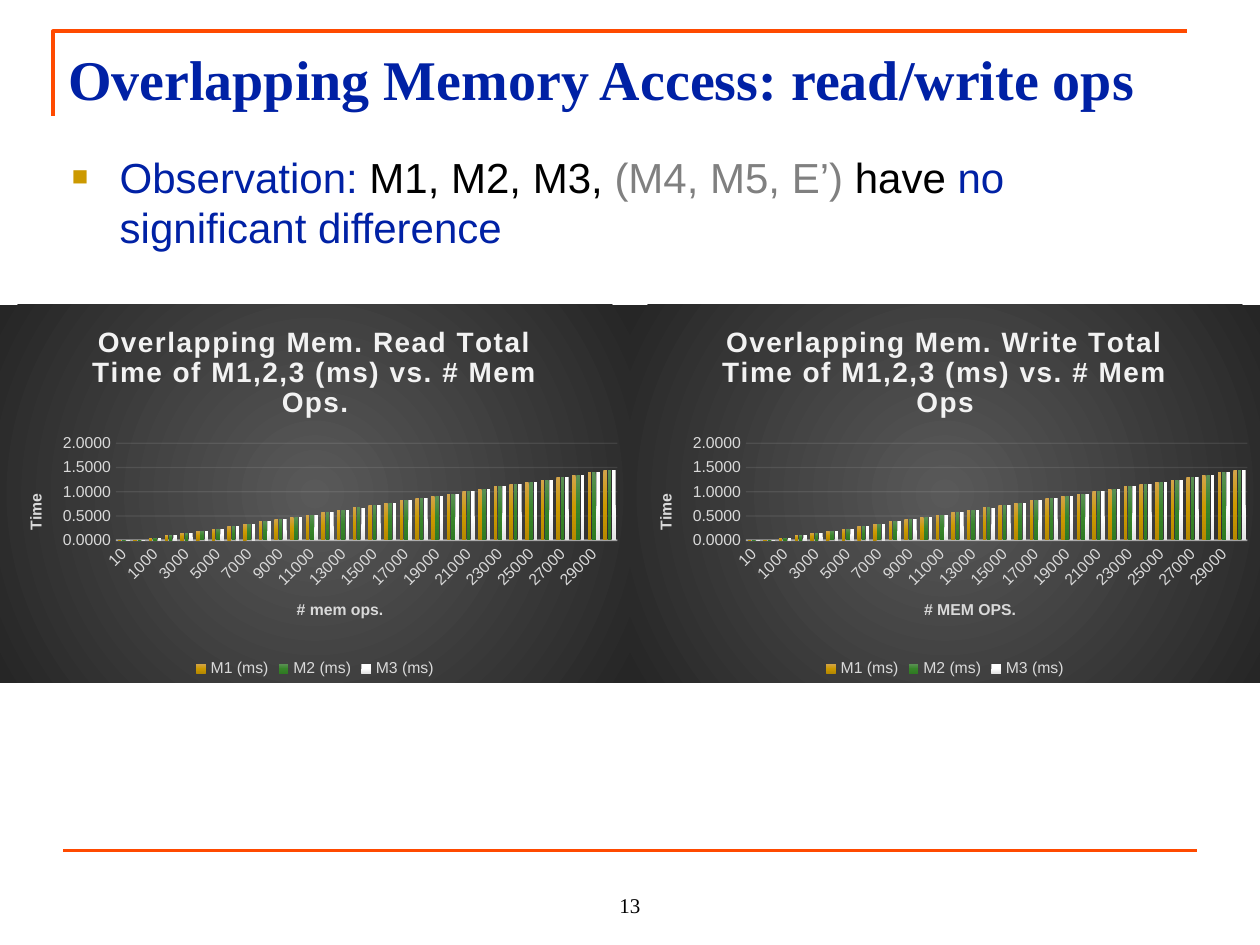
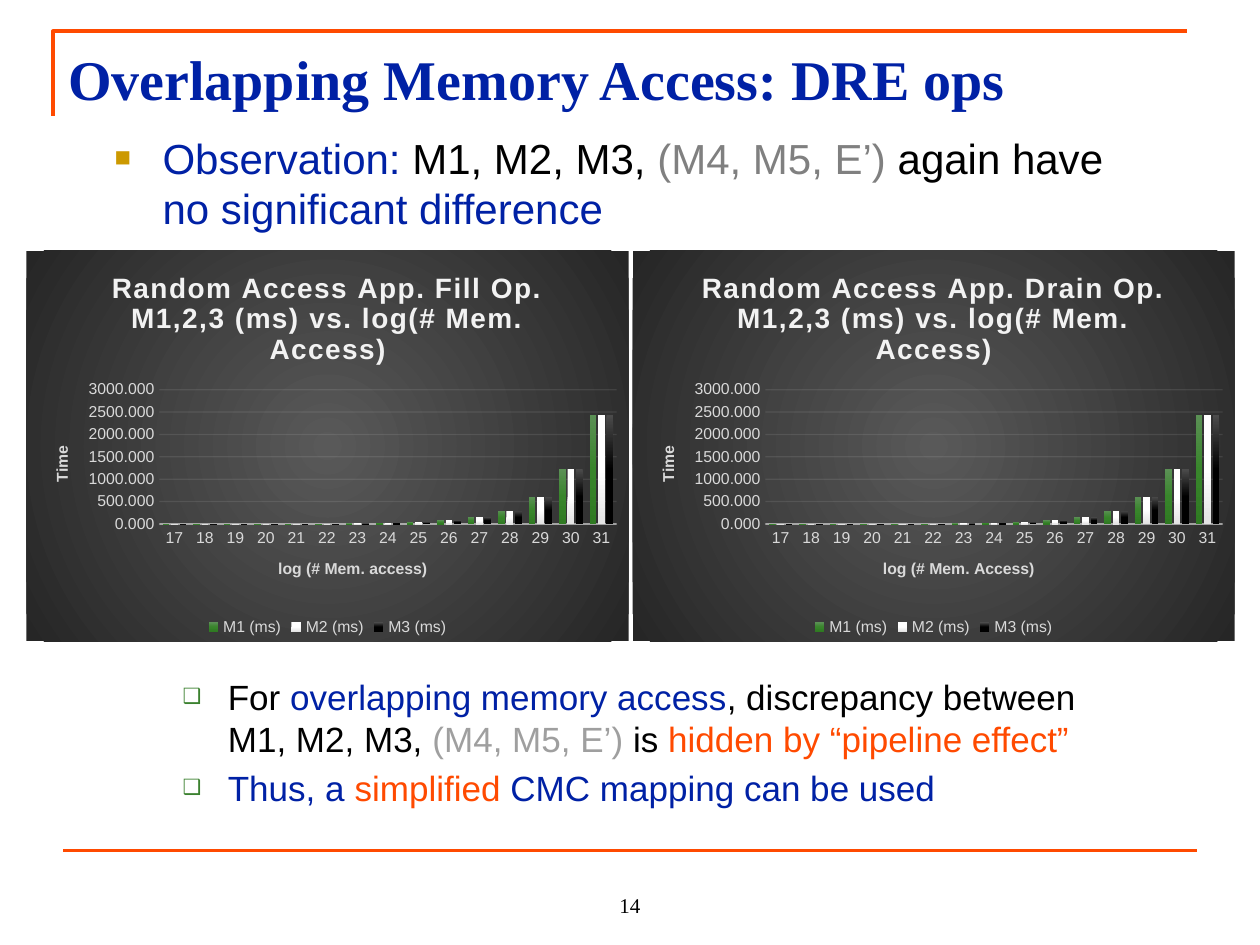
from lxml.etree import SubElement
from pptx import Presentation
from pptx.chart.data import CategoryChartData
from pptx.dml.color import RGBColor
from pptx.enum.chart import XL_CHART_TYPE as ChartType, XL_LEGEND_POSITION as LegendPosition, XL_TICK_MARK as TickMark
from pptx.enum.shapes import MSO_CONNECTOR as Connector
from pptx.enum.text import MSO_ANCHOR as Anchor, MSO_AUTO_SIZE as AutoSize, PP_ALIGN as Align
from pptx.oxml import parse_xml
from pptx.oxml.ns import nsdecls, qn
from pptx.util import Inches, Pt

COLORS = {
    "blue": "0021A5", "orange": "FF4A00", "black": "000000", "gray": "808080",
    "light_gray": "9F9F9F", "gold": "CC9900", "green": "3B812F",
    "chart_text": "D9D9D9", "chart_title": "F2F2F2",
}
GRADIENTS = {
    "backdrop": [(0, "595959"), (100, "262626")],
    "gold": [(0, "D3A44B"), (50, "CC9900"), (100, "B58800")],
    "green": [(0, "5B9055"), (50, "38852B"), (100, "2F7A22")],
    "white": [(0, "FFFFFF"), (50, "FFFFFF"), (100, "E3E3E3")],
    "black": [(0, "4B4B4B"), (50, "000000"), (100, "000000")],
}
SERIES_NAMES = ["M1 (ms)", "M2 (ms)", "M3 (ms)"]
SQUARE = {"bullet": "■", "bullet_color": "gold", "bullet_size": 65, "left": 0.38, "hanging": 0.38}
BOX = {"bullet": "❑", "bullet_color": "green", "bullet_size": 60, "left": 0.73, "hanging": 0.36}


def changed(values, changes):
    return [changes.get(index, value) for index, value in enumerate(values)]


READ = [0, 0.01, 0.05, 0.1, 0.15, 0.19, 0.24, 0.29, 0.34, 0.39, 0.43, 0.48, 0.53, 0.58, 0.63, 0.68,
        0.72, 0.77, 0.82, 0.87, 0.91, 0.96, 1.01, 1.06, 1.11, 1.16, 1.2, 1.25, 1.3, 1.35, 1.4, 1.44]
WRITE = changed(READ, {20: 0.92, 26: 1.21, 31: 1.45})
RANDOM = [0, 0, 0, 0, 0, 0, 10, 20, 40, 80, 150, 300, 610, 1220, 2440]
RANDOM_SERIES = [RANDOM, RANDOM, changed(RANDOM, {14: 2430})]
OPERATIONS = ["10", "100"] + [str(count) for count in range(1000, 30001, 1000)]
LOGARITHMS = [str(exponent) for exponent in range(17, 32)]

SLIDES = [
    {
        "number": "13",
        "title": "Overlapping Memory Access: read/write ops",
        "body_at": (0.47, 1.15, 9.06, 0.91),
        "observation": [("Observation: ", "blue"), ("M1, M2, M3, ", "black"), ("(M4, M5, E’) ", "gray"),
                        ("have ", "black"), ("no significant difference", "blue")],
        "charts_at": (0, 2.42, 5, 3), "gap": 0,
        "categories": OPERATIONS, "format": "0.0000", "fills": ["gold", "green", "white"],
        "charts": [
            ("Overlapping Mem. Read Total Time of M1,2,3 (ms) vs. # Mem Ops.", "# mem ops.",
             [READ, READ, changed(READ, {4: 0.14, 15: 0.67})]),
            ("Overlapping Mem. Write Total Time of M1,2,3 (ms) vs. # Mem Ops", "# MEM OPS.",
             [WRITE, WRITE, changed(WRITE, {15: 0.67, 26: 1.2})]),
        ],
        "conclusions": [],
    },
    {
        "number": "14",
        "title": "Overlapping Memory Access: DRE ops",
        "body_at": (0.81, 1, 8.73, 0.9),
        "observation": [("Observation: ", "blue"), ("M1, M2, M3, ", "black"), ("(M4, M5, E’)", "gray"),
                        (" again have \n", "black"), ("no significant difference", "blue")],
        "charts_at": (0.21, 1.99, 4.78, 3.1), "gap": 0.03,
        "categories": LOGARITHMS, "format": "0.000", "fills": ["green", "white", "black"],
        "charts": [
            ("Random Access App. Fill Op. M1,2,3 (ms) vs. log(# Mem. Access)", "log (# Mem. access)",
             RANDOM_SERIES),
            ("Random Access App. Drain Op. M1,2,3 (ms) vs. log(# Mem. Access)", "log (# Mem. Access)",
             RANDOM_SERIES),
        ],
        "conclusions": [
            [("For ", "black"), ("overlapping memory access", "blue"),
             (", discrepancy between M1, M2, M3, ", "black"), ("(M4, M5, E’) ", "light_gray"),
             ("is ", "black"), ("hidden by “pipeline effect”", "orange")],
            [("Thus, a ", "blue"), ("simplified ", "orange"), ("CMC mapping can be used", "blue")],
        ],
    },
]


def rgb(name):
    return RGBColor.from_string(COLORS[name])


def style_font(font, size, color, name="Arial", bold=False):
    font.size, font.name, font.bold = Pt(size), name, bold
    font.color.rgb = rgb(color)


def add_bullet(paragraph, bullet, bullet_color, bullet_size, left, hanging):
    properties = paragraph._p.get_or_add_pPr()
    properties.set("marL", str(Inches(left)))
    properties.set("indent", str(-Inches(hanging)))
    spacing = SubElement(properties, qn("a:spcBef"))
    SubElement(spacing, qn("a:spcPct"), val="20000")
    color = SubElement(properties, qn("a:buClr"))
    SubElement(color, qn("a:srgbClr"), val=COLORS[bullet_color])
    SubElement(properties, qn("a:buSzPct"), val=str(bullet_size * 1000))
    SubElement(properties, qn("a:buFont"), typeface="Arial")
    SubElement(properties, qn("a:buChar"), char=bullet)


def write_text(shape, paragraphs, size, font="Arial", bold=False, align=Align.LEFT, anchor=Anchor.TOP, bullet=None):
    frame = shape.text_frame
    frame.word_wrap, frame.auto_size, frame.vertical_anchor = True, AutoSize.NONE, anchor
    for index, runs in enumerate(paragraphs):
        paragraph = frame.add_paragraph() if index else frame.paragraphs[0]
        paragraph.alignment = align
        if bullet:
            add_bullet(paragraph, **bullet)
        for text, color in runs:
            run = paragraph.add_run()
            run.text = text.rstrip("\n")
            style_font(run.font, size, color, font, bold)
            if text.endswith("\n"):
                paragraph.add_line_break()


def place(shape, left, top, width, height):
    shape.left, shape.top, shape.width, shape.height = map(Inches, (left, top, width, height))


def gradient(name, direction):
    stops = "".join(f'<a:gs pos="{position * 1000}"><a:srgbClr val="{color}"/></a:gs>'
                    for position, color in GRADIENTS[name])
    return f'<a:gradFill {nsdecls("a")} rotWithShape="1"><a:gsLst>{stops}</a:gsLst>{direction}</a:gradFill>'


def style_line(line, color, width, alpha=None):
    line.color.rgb = rgb(color)
    line.width = Pt(width)
    if alpha:
        color_element = line._get_or_add_ln().find(".//" + qn("a:srgbClr"))
        SubElement(color_element, qn("a:alpha"), val=str(alpha * 1000))


def style_axis(axis, title):
    axis.has_title = True
    axis.axis_title.text_frame.text = title
    style_font(axis.axis_title.text_frame.paragraphs[0].runs[0].font, 9, "chart_text", bold=True)
    axis.major_tick_mark = axis.minor_tick_mark = TickMark.NONE
    style_font(axis.tick_labels.font, 9, "chart_text")


def add_column_chart(slide, position, title, axis_title, values, categories, number_format, fills):
    data = CategoryChartData(number_format=number_format)
    data.categories = categories
    for name, series_values in zip(SERIES_NAMES, values):
        data.add_series(name, series_values)
    chart = slide.shapes.add_chart(ChartType.COLUMN_CLUSTERED, *map(Inches, position), data).chart
    style_font(chart.font, 10, "black")
    circle = '<a:path path="circle"><a:fillToRect l="50000" t="50000" r="50000" b="50000"/></a:path>'
    backdrop = gradient("backdrop", circle)
    chart._chartSpace.txPr.addprevious(parse_xml(
        f'<c:spPr {nsdecls("c", "a")}>{backdrop}<a:ln><a:noFill/></a:ln></c:spPr>'))

    chart.has_title = True
    chart.chart_title.include_in_layout = False
    chart.chart_title.text_frame.text = title
    title_font = chart.chart_title.text_frame.paragraphs[0].runs[0].font
    style_font(title_font, 16, "chart_title", bold=True)
    title_font._element.set("spc", "100")

    chart.has_legend = True
    chart.legend.position = LegendPosition.BOTTOM
    chart.legend.include_in_layout = False
    style_font(chart.legend.font, 9, "chart_text")

    style_axis(chart.category_axis, axis_title)
    style_line(chart.category_axis.format.line, "chart_title", 1, 54)
    label_body = chart.category_axis._element.txPr.find(qn("a:bodyPr"))
    label_body.set("rot", "-60000000")
    label_body.set("vert", "horz")

    style_axis(chart.value_axis, "Time")
    chart.value_axis.format.line.fill.background()
    style_line(chart.value_axis.major_gridlines.format.line, "chart_title", 0.75, 10)
    chart.value_axis.tick_labels.number_format = number_format
    chart.value_axis.tick_labels.number_format_is_linked = False

    plot = chart.plots[0]
    plot.gap_width, plot.overlap, plot.vary_by_categories = 100, -24, False
    for series, fill in zip(plot.series, fills):
        series.invert_if_negative = False
        series._element.get_or_add_spPr().append(parse_xml(gradient(fill, '<a:lin ang="5400000" scaled="0"/>')))


def add_frame(slide, number):
    builder = slide.shapes.build_freeform(Inches(0.42), Inches(0.92))
    builder.add_line_segments([(Inches(0.42), Inches(0.25)), (Inches(9.42), Inches(0.25))], close=False)
    corner = builder.convert_to_shape()
    corner.fill.background()
    corner.shadow.inherit = False
    style_line(corner.line, "orange", 2.25)
    rule = slide.shapes.add_connector(Connector.STRAIGHT, *map(Inches, (0.5, 6.75, 9.5, 6.75)))
    style_line(rule.line, "orange", 2.25)
    SubElement(rule._element.spPr, qn("a:effectLst"))
    number_box = slide.shapes.add_textbox(*map(Inches, (4, 6.83, 2, 0.5)))
    write_text(number_box, [[(number, "black")]], 12, font="Times New Roman",
               align=Align.CENTER, anchor=Anchor.BOTTOM)


def build_slide(presentation, content):
    slide = presentation.slides.add_slide(presentation.slide_layouts[1])
    add_frame(slide, content["number"])
    title, body = slide.placeholders
    place(title, 0.44, 0.3, 9.72, 0.87)
    write_text(title, [[(content["title"], "blue")]], 32, font="Times New Roman", bold=True)
    place(body, *content["body_at"])
    write_text(body, [content["observation"]], 24, bullet=SQUARE)
    left, top, width, height = content["charts_at"]
    for index, (chart_title, axis_title, values) in enumerate(content["charts"]):
        position = (left + index * (width + content["gap"]), top, width, height)
        add_column_chart(slide, position, chart_title, axis_title, values,
                         content["categories"], content["format"], content["fills"])
    if content["conclusions"]:
        conclusions = slide.shapes.add_textbox(*map(Inches, (0.98, 5.31, 8.11, 1.13)))
        write_text(conclusions, content["conclusions"], 20, bullet=BOX)


def main():
    presentation = Presentation()
    presentation.slide_width, presentation.slide_height = Inches(10), Inches(7.5)
    for content in SLIDES:
        build_slide(presentation, content)
    presentation.save("out.pptx")


if __name__ == "__main__":
    main()
